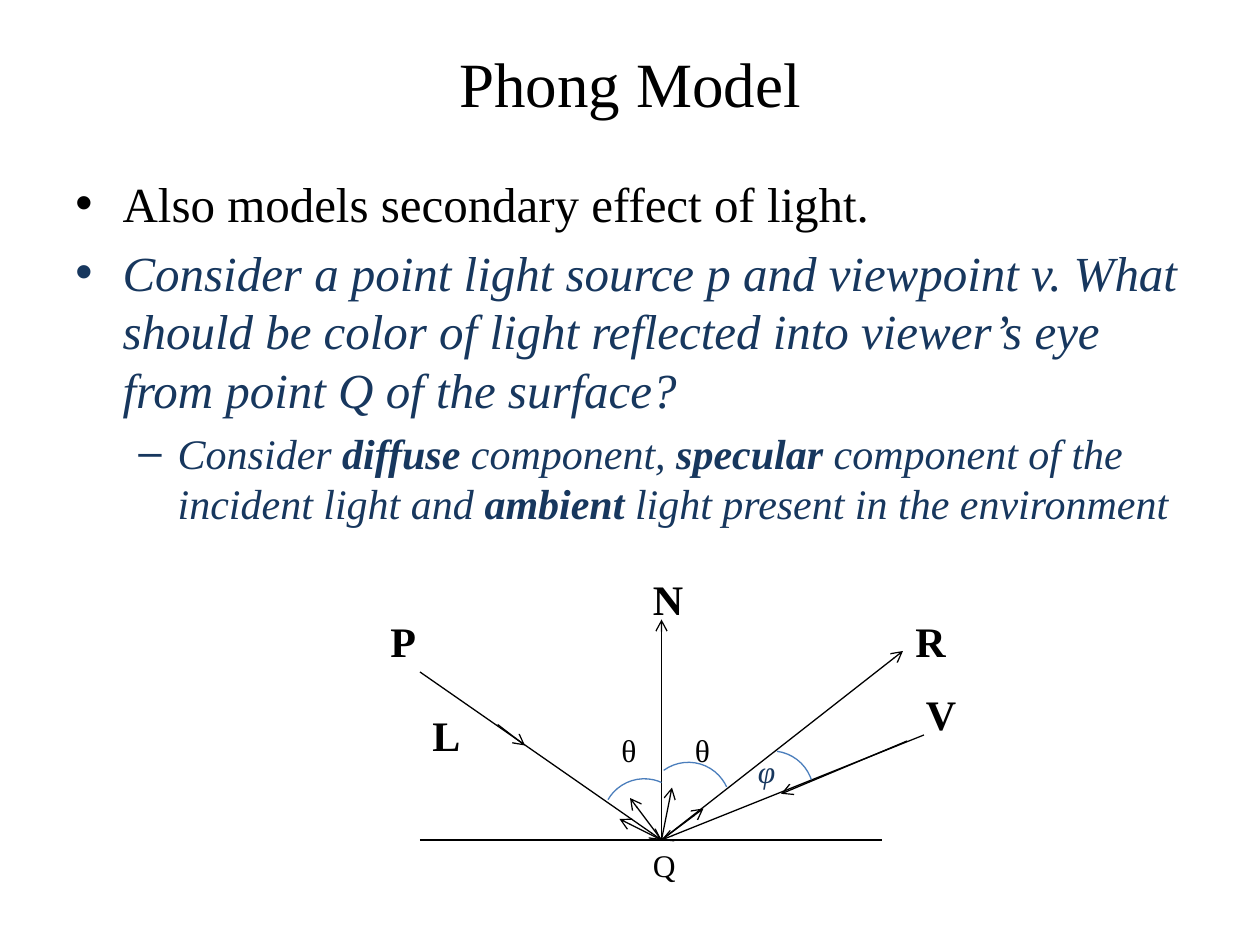
from lxml import etree
from pptx import Presentation
from pptx.dml.color import RGBColor
from pptx.enum.shapes import MSO_CONNECTOR, MSO_SHAPE
from pptx.enum.text import MSO_ANCHOR, PP_ALIGN
from pptx.oxml.ns import qn
from pptx.util import Pt

LINE, ARC = MSO_CONNECTOR.STRAIGHT, MSO_SHAPE.ARC
TOP, MIDDLE, CENTER = MSO_ANCHOR.TOP, MSO_ANCHOR.MIDDLE, PP_ALIGN.CENTER
COLORS = {"black": "000000", "navy": "17375E", "blue": "4B7EBC"}


def add_run(p, text, size, color="black", **formats):
    r = p.add_run()
    r.text = text
    r.font.color.rgb = RGBColor.from_string(COLORS[color])
    for key, value in {"name": "Times New Roman", "size": Pt(size), **formats}.items():
        setattr(r.font, key, value)


def add_box(left, top, width, height):
    tf = s.shapes.add_textbox(Pt(left), Pt(top), Pt(width), Pt(height)).text_frame
    for key, value in {"word_wrap": True, "vertical_anchor": TOP}.items():
        setattr(tf, key, value)
    return tf


prs = Presentation()
prs.slide_width, prs.slide_height = Pt(720), Pt(540)
s = prs.slides.add_slide(prs.slide_layouts[5])

title = s.shapes.title
title.left, title.top, title.width, title.height = Pt(36), Pt(21.6), Pt(648), Pt(50.4)
title.text_frame.vertical_anchor = MIDDLE
p = title.text_frame.paragraphs[0]
p.alignment = CENTER
add_run(p, "Phong Model", 36)

question = ("Consider a point light source p and viewpoint v. What should be color of "
            "light reflected into viewer’s eye from point Q of the surface?")
body = [
    ("•", 0, 27, 27, 28, 0, "black", False, ["Also models secondary effect of light."]),
    ("•", 0, 27, 27, 28, 5.6, "navy", True, [question]),
    ("–", 1, 58.5, 22.5, 24, 4.8, "navy", True,
     ["Consider ", "diffuse", " component, ", "specular",
      " component of the incident light and ", "ambient",
      " light present in the environment"]),
]
tf = add_box(36, 95.6, 648, 399)
for i, (bullet, level, margin, hang, size, before, color, italic, parts) in enumerate(body):
    p = tf.add_paragraph() if i else tf.paragraphs[0]
    p.level, p.space_before = level, Pt(before)
    pPr = p._p.get_or_add_pPr()
    pPr.set("marL", str(Pt(margin)))
    pPr.set("indent", str(-Pt(hang)))
    etree.SubElement(pPr, qn("a:buFont")).set("typeface", "Arial")
    etree.SubElement(pPr, qn("a:buChar")).set("char", bullet)
    for j, text in enumerate(parts):
        add_run(p, text, size, color, italic=italic, bold=j % 2 == 1)

Q = (378, 480)
rays = [
    ((240, 480), (504, 480), False),
    (Q, (378, 354), True),
    (Q, (402, 462), True),
    (Q, (384, 450), True),
    (Q, (360, 456), True),
    (Q, (354, 468), True),
    (Q, (516, 372), True),
    ((528, 420), Q, True),
    ((240, 384), Q, True),
    ((284.4, 414), (300, 426), True),
    ((518.4, 423.4), (446.4, 453.6), True),
]
for start, end, arrow in rays:
    ray = s.shapes.add_connector(LINE, *[Pt(v) for v in start + end])
    ray.line.color.rgb = RGBColor.from_string(COLORS["black"])
    ray.line.width = Pt(0.75)
    if arrow:
        etree.SubElement(ray.line._get_or_add_ln(), qn("a:tailEnd")).set("type", "arrow")
    etree.SubElement(ray._element.spPr, qn("a:effectLst"))

arcs = [
    (369.4, 435.6, 323.9, 162, 7),
    (344.2, 445, 282.7, 172.52, 7),
    (416.9, 429.1, 7.4, 162, 200.36),
]
for left, top, rotation, start, end in arcs:
    arc = s.shapes.add_shape(ARC, Pt(left), Pt(top), Pt(48), Pt(48))
    arc.rotation = rotation
    arc.adjustments[0], arc.adjustments[1] = start, end
    arc.shadow.inherit = False
    arc.fill.background()
    arc.line.color.rgb = RGBColor.from_string(COLORS["blue"])
    arc.line.width = Pt(0.75)

vectors = [("R", 516, 348), ("L", 240, 402), ("V", 522, 390), ("N", 366, 324), ("P", 216, 348)]
for name, left, top in vectors:
    add_run(add_box(left, top, 32, 36).paragraphs[0], name, 24, bold=True)

marks = [("θ", 348, 414, "black", False), ("θ", 390, 414, "black", False),
         ("φ", 426, 426, "navy", True), ("Q", 366, 480, "black", False)]
for name, left, top, color, italic in marks:
    add_run(add_box(left, top, 36, 29).paragraphs[0], name, 18, color, italic=italic)

prs.save("out.pptx")
